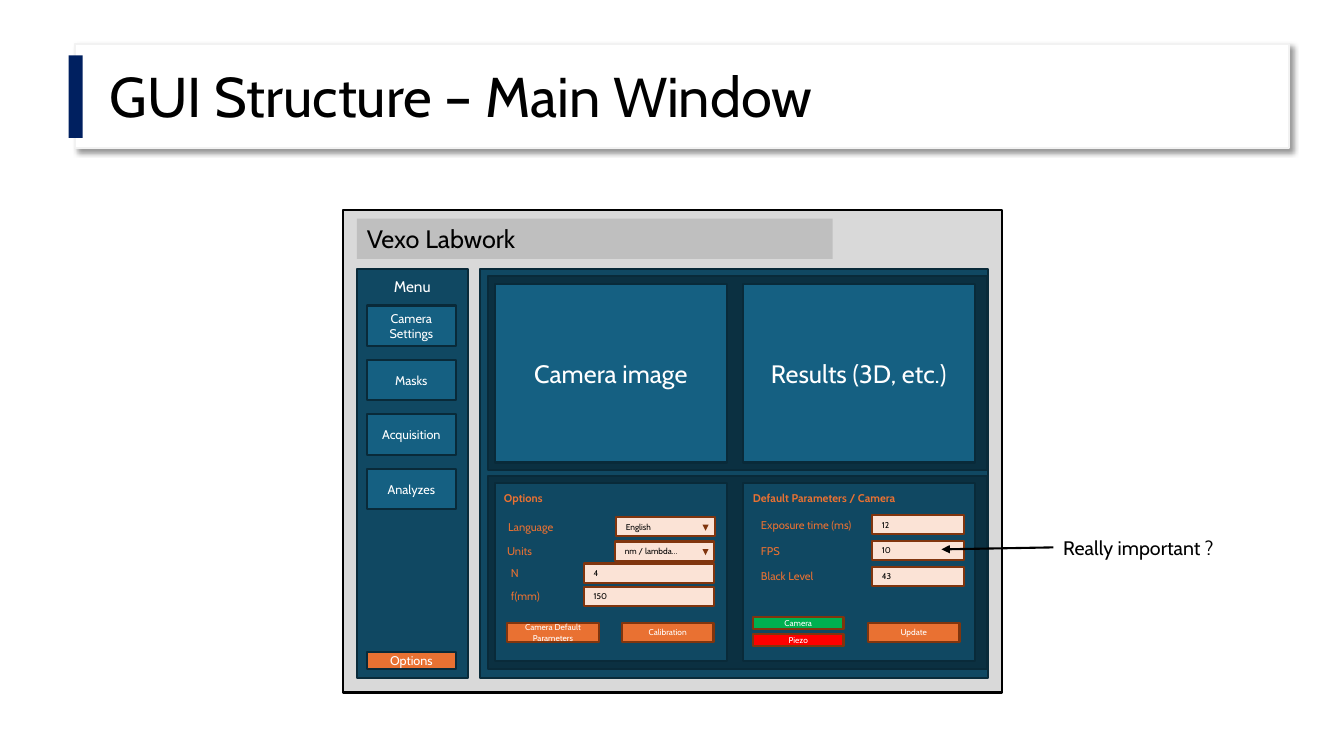
from pptx import Presentation
from pptx.dml.color import RGBColor
from pptx.enum import shapes, text
from pptx.oxml import parse_xml
from pptx.oxml.ns import nsdecls, qn
from pptx.util import Pt

FONT = "Cabin"
BLACK = RGBColor(0x00, 0x00, 0x00)
WHITE = RGBColor(0xFF, 0xFF, 0xFF)
CARD_EDGE = RGBColor(0xF2, 0xF2, 0xF2)
NAVY = RGBColor(0x00, 0x20, 0x60)
WINDOW_GREY = RGBColor(0xD9, 0xD9, 0xD9)
BAR_GREY = RGBColor(0xBF, 0xBF, 0xBF)
PANEL = RGBColor(0x10, 0x48, 0x62)
PANEL_EDGE = RGBColor(0x09, 0x2A, 0x39)
ROW = RGBColor(0x0B, 0x30, 0x41)
TILE = RGBColor(0x15, 0x60, 0x82)
ORANGE = RGBColor(0xE9, 0x71, 0x32)
BROWN = RGBColor(0x80, 0x35, 0x0E)
CREAM = RGBColor(0xFB, 0xE3, 0xD6)
GREEN = RGBColor(0x00, 0xB0, 0x50)
RED = RGBColor(0xFF, 0x00, 0x00)

CENTER, LEFT = text.PP_ALIGN.CENTER, text.PP_ALIGN.LEFT
TOP, MIDDLE = text.MSO_ANCHOR.TOP, text.MSO_ANCHOR.MIDDLE

COLUMNS = (353.5, 530.6)
CARD_SIZE = (165.6, 127.4)
FIELD_HEIGHT = 13.7


def write(shape, content, *, size, color=WHITE, bold=None, align=CENTER,
          anchor=MIDDLE, insets=(7.2, 3.6, 7.2, 3.6), grow=False, wrap=True,
          spacing=None):
    """Put one formatted paragraph in a shape; insets run left, top, right, bottom."""
    frame = shape.text_frame
    frame.word_wrap = wrap
    frame.vertical_anchor = anchor
    frame.margin_left, frame.margin_top, frame.margin_right, frame.margin_bottom = map(Pt, insets)
    if grow:
        frame.auto_size = text.MSO_AUTO_SIZE.SHAPE_TO_FIT_TEXT
    paragraph = frame.paragraphs[0]
    paragraph.alignment = align
    paragraph.line_spacing = spacing
    run = paragraph.add_run()
    run.text = content
    run.font.name, run.font.size, run.font.bold = FONT, Pt(size), bold
    run.font.color.rgb = color


def add_block(slide, x, y, width, height, fill, edge=None,
              kind=shapes.MSO_SHAPE.RECTANGLE):
    block = slide.shapes.add_shape(kind, Pt(x), Pt(y), Pt(width), Pt(height))
    block.shadow.inherit = False
    block.fill.solid()
    block.fill.fore_color.rgb = fill
    if edge is None:
        block.line.fill.background()
    else:
        block.line.color.rgb = edge
        block.line.width = Pt(1.5)
    return block


def add_label(slide, content, x, y, width, height, **format):
    label = slide.shapes.add_textbox(Pt(x), Pt(y), Pt(width), Pt(height))
    write(label, content, **{"align": LEFT, "anchor": TOP, **format})


def add_button(slide, caption, x, y, width, height, fill, edge, size):
    write(add_block(slide, x, y, width, height, fill, edge), caption, size=size)


def add_field(slide, caption, value, label_x, box_x, y, width, dropdown=False):
    """Draw a captioned input box, with a down arrow if it is a dropdown."""
    box = add_block(slide, box_x, y, width, FIELD_HEIGHT, CREAM, BROWN)
    write(box, value, size=6, color=BLACK, align=LEFT)
    if dropdown:
        marker = add_block(slide, 501.8, y + 5.4, 4.3, 4.3, BROWN,
                           kind=shapes.MSO_SHAPE.ISOSCELES_TRIANGLE)
        marker.rotation = 180
    add_label(slide, caption, label_x, y + 2.3, 79.2, 9.4, size=8, color=ORANGE,
              insets=(0, 0, 0, 0), grow=True)


def add_heading(slide, content, x, width):
    add_label(slide, content, x, 350.6, width, 13.7, size=8, color=ORANGE, bold=True,
              insets=(0, 0, 7.2, 3.6), grow=True)


def add_arrow(slide, x1, y1, x2, y2):
    arrow = slide.shapes.add_connector(shapes.MSO_CONNECTOR.STRAIGHT,
                                       Pt(x1), Pt(y1), Pt(x2), Pt(y2))
    arrow.line.color.rgb = BLACK
    arrow.line.width = Pt(1.5)
    arrow.line._get_or_add_ln().append(
        parse_xml(f'<a:tailEnd {nsdecls("a")} type="triangle"/>'))
    arrow._element.spPr.append(parse_xml(f'<a:effectLst {nsdecls("a")}/>'))


def add_title(slide):
    card = add_block(slide, 53.3, 31.7, 867.6, 74.2, WHITE, CARD_EDGE)
    card._element.spPr.find(qn("a:effectLst")).append(parse_xml(
        f'<a:outerShdw {nsdecls("a")} blurRad="{Pt(4)}" dist="{Pt(3)}" dir="2700000" '
        'algn="tl" rotWithShape="0"><a:srgbClr val="000000"><a:alpha val="40000"/>'
        '</a:srgbClr></a:outerShdw>'))
    add_label(slide, "GUI Structure – Main Window", 71.3, 46.1, 706.3, 55.4,
              size=40, color=BLACK, spacing=0.9)
    add_block(slide, 49, 39.6, 10, 59, NAVY)


def add_window(slide):
    add_block(slide, 244.8, 149.8, 470.9, 344.9, WINDOW_GREY, BLACK)
    title_bar = add_block(slide, 254.9, 156.2, 339.8, 28.8, BAR_GREY)
    write(title_bar, "Vexo Labwork", size=18, color=BLACK, align=LEFT, anchor=TOP, grow=True)
    for x, width in ((254.9, 79.2), (342.7, 362.9)):
        add_block(slide, x, 192.2, width, 292.3, PANEL, PANEL_EDGE)
    for y in (197.3, 339.8):
        add_block(slide, 348.5, y, 356.4, 138.2, ROW, PANEL_EDGE)


def add_menu(slide):
    add_label(slide, "Menu", 254.9, 194.4, 79.2, 20.9, size=11, align=CENTER, grow=True)
    for i, caption in enumerate(("Camera Settings", "Masks", "Acquisition", "Analyzes")):
        add_button(slide, caption, 262.1, 218.2 + 38.9 * i, 63.4, 28.8, TILE, PANEL_EDGE, 9)
    add_button(slide, "Options", 262.1, 465.8, 63.4, 12.2, ORANGE, PANEL_EDGE, 9)


def add_cards(slide):
    for x, caption in zip(COLUMNS, ("Camera image", "Results (3D, etc.)")):
        add_button(slide, caption, x, 203, *CARD_SIZE, TILE, PANEL_EDGE, 18)
        add_block(slide, x, 344.9, *CARD_SIZE, PANEL, PANEL_EDGE)


def add_settings(slide):
    add_heading(slide, "Options", 360, 79.2)
    add_field(slide, "Language", "English", 362.9, 439.9, 369.4, 70.6, dropdown=True)
    add_field(slide, "Units", "nm / lambda…", 362.2, 439.2, 386.8, 70.6, dropdown=True)
    add_field(slide, "N", "4", 365, 416.9, 402.5, 92.9)
    add_field(slide, "f(mm)", "150", 365, 416.9, 419, 92.9)

    add_heading(slide, "Default Parameters / Camera", 537.8, 128.9)
    camera_values = (("Exposure time (ms)", "12"), ("FPS", "10"), ("Black Level", "43"))
    for i, (caption, value) in enumerate(camera_values):
        add_field(slide, caption, value, 543.6, 622.8, 367.9 + 18.4 * i, 65.5)

    for caption, x in (("Camera Default Parameters", 362.2), ("Calibration", 444.2),
                       ("Update", 619.9)):
        add_button(slide, caption, x, 445, 65.5, FIELD_HEIGHT, ORANGE, BROWN, 6)
    for caption, y, fill in (("Camera", 440.6, GREEN), ("Piezo", 452.9, RED)):
        add_button(slide, caption, 537.8, y, 64.8, 8.6, fill, BROWN, 6)


def add_remark(slide):
    add_arrow(slide, 752.4, 391, 672.5, 392.4)
    add_label(slide, "Really important ?", 752.4, 379.4, 125.3, 24.5,
              size=14, color=BLACK, grow=True, wrap=False)


def main():
    deck = Presentation()
    deck.slide_width, deck.slide_height = Pt(960), Pt(540)
    slide = deck.slides.add_slide(deck.slide_layouts[6])
    add_title(slide)
    add_window(slide)
    add_menu(slide)
    add_cards(slide)
    add_settings(slide)
    add_remark(slide)
    deck.save("out.pptx")


if __name__ == "__main__":
    main()
